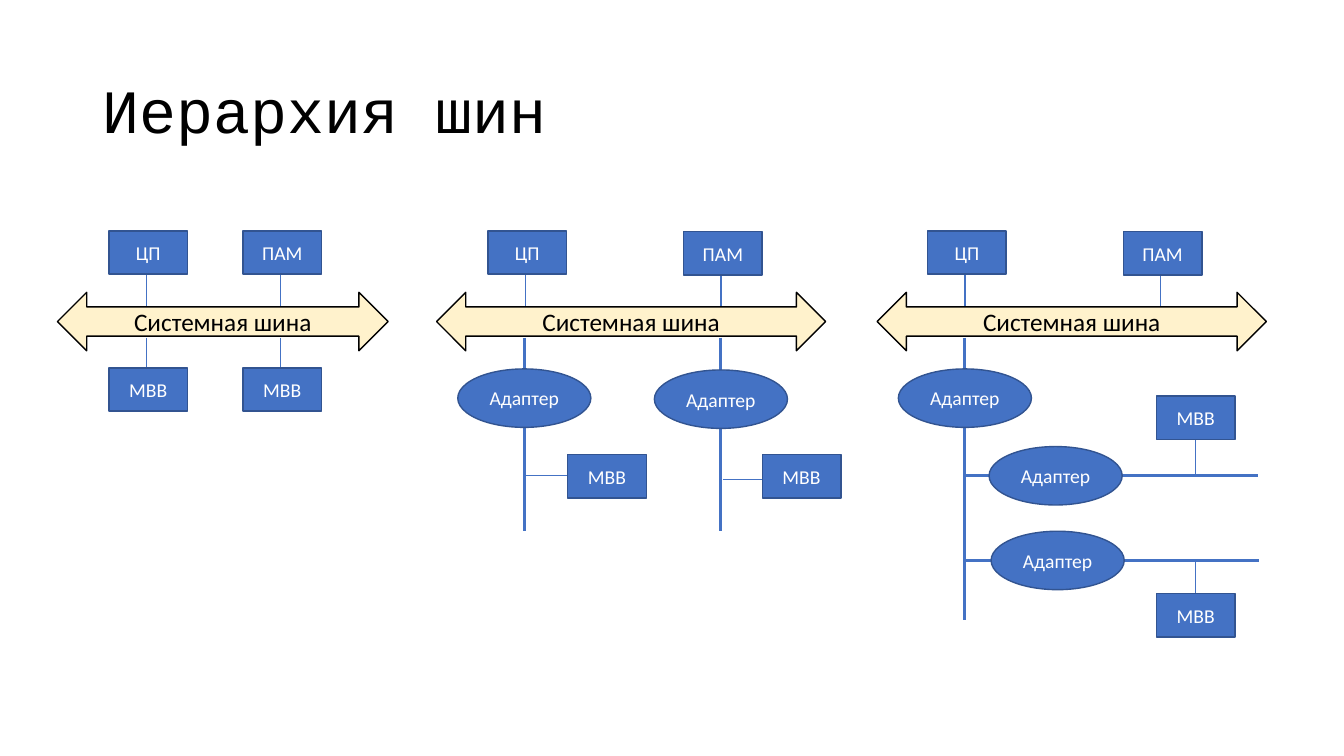
from pptx import Presentation
from pptx import util as u
from pptx.dml.color import RGBColor
from pptx.enum import shapes, text
from pptx.oxml import xmlchemy as xml

PX = 9144
BLUE = RGBColor(0x44, 0x72, 0xC4)
NAVY = RGBColor(0x32, 0x54, 0x91)
CREAM = RGBColor(0xFF, 0xF2, 0xCC)
BLACK = RGBColor(0, 0, 0)
WHITE = RGBColor(0xFF, 0xFF, 0xFF)
THIN, THICK = 1, 2.25

KINDS = {
    "bus": (shapes.MSO_SHAPE.LEFT_RIGHT_ARROW, 58, CREAM, BLACK, BLACK, 18),
    "box": (shapes.MSO_SHAPE.RECTANGLE, 43, BLUE, NAVY, WHITE, 14),
    "oval": (shapes.MSO_SHAPE.OVAL, 58, BLUE, NAVY, WHITE, 14),
}

prs = Presentation()
prs.slide_width, prs.slide_height = 1333 * PX, 750 * PX
slide = prs.slides.add_slide(prs.slide_layouts[6])


def wire(x1, y1, x2, y2, size):
    line = slide.shapes.add_connector(
        shapes.MSO_CONNECTOR.STRAIGHT, x1 * PX, y1 * PX, x2 * PX, y2 * PX)
    line.line.color.rgb = BLUE
    line.line.width = u.Pt(size)
    line._element.spPr.append(xml.OxmlElement("a:effectLst"))


def node(kind, label, x, y, w):
    form, h, fill, edge, ink, size = KINDS[kind]
    item = slide.shapes.add_shape(form, x * PX, y * PX, w * PX, h * PX)
    item.shadow.inherit = False
    item.fill.solid()
    item.fill.fore_color.rgb = fill
    item.line.color.rgb = edge
    item.line.width = u.Pt(1)
    frame = item.text_frame
    frame.vertical_anchor = text.MSO_ANCHOR.MIDDLE
    para = frame.paragraphs[0]
    para.alignment = text.PP_ALIGN.CENTER
    run = para.add_run()
    run.text = label
    run.font.name = "Calibri"
    run.font.size = u.Pt(size)
    run.font.color.rgb = ink


title = slide.shapes.add_textbox(92 * PX, 40 * PX, 1150 * PX, 145 * PX)
frame = title.text_frame
frame.word_wrap = True
frame.vertical_anchor = text.MSO_ANCHOR.MIDDLE
para = frame.paragraphs[0]
para.line_spacing = 0.9
run = para.add_run()
run.text = "Иерархия шин"
run.font.name = "Courier New"
run.font.size = u.Pt(44)
run.font.color.rgb = BLACK

for x, w, cpu, mem, top in ((57, 328, 108, 241, 229),
                            (433, 386, 484, 678, 230),
                            (870, 386, 920, 1114, 230)):
    node("bus", "Системная шина", x, 290, w)
    for label, left, y in (("ЦП", cpu, 229), ("ПАМ", mem, top)):
        wire(left + 37, y + 43, left + 37, 304, THIN)
        node("box", label, left, y, 78)

for x in (108, 241):
    wire(x + 37, 335, x + 37, 365, THIN)
    node("box", "МВВ", x, 365, 78)

for x, y, end in ((520, 366, 527), (715, 367, 527), (957, 366, 615)):
    wire(x, 335, x, end, THICK)
    node("oval", "Адаптер", x - 66, y, 132)

for x, left, y in ((520, 563, 472), (717, 756, 476)):
    wire(x, y, left, y, THIN)
    node("box", "МВВ", left, 451, 78)

for x, y, left, box, end in ((957, 472, 981, 393, 436),
                             (958, 556, 983, 589, 589)):
    wire(x, y, x + 291, y, THICK)
    node("oval", "Адаптер", left, y - 29, 132)
    wire(1186, y, 1186, end, THIN)
    node("box", "МВВ", 1147, box, 78)

prs.save("out.pptx")
